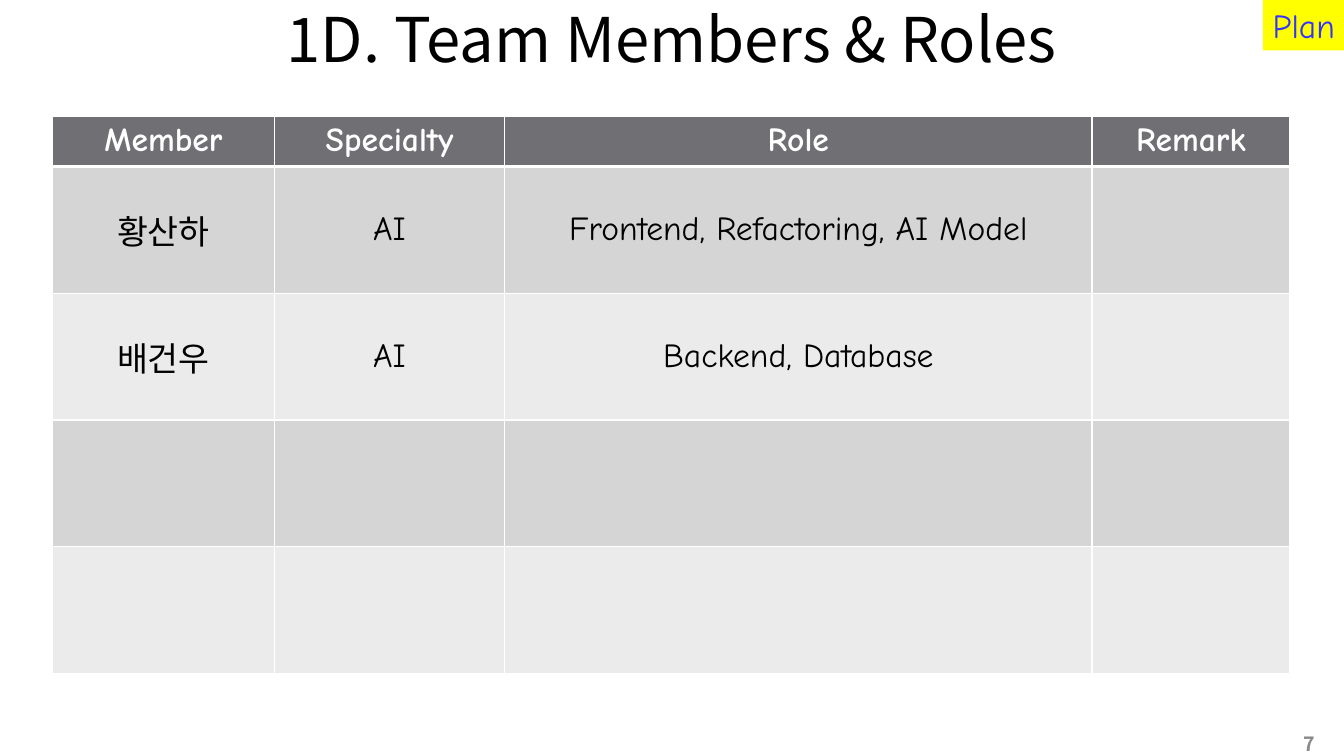
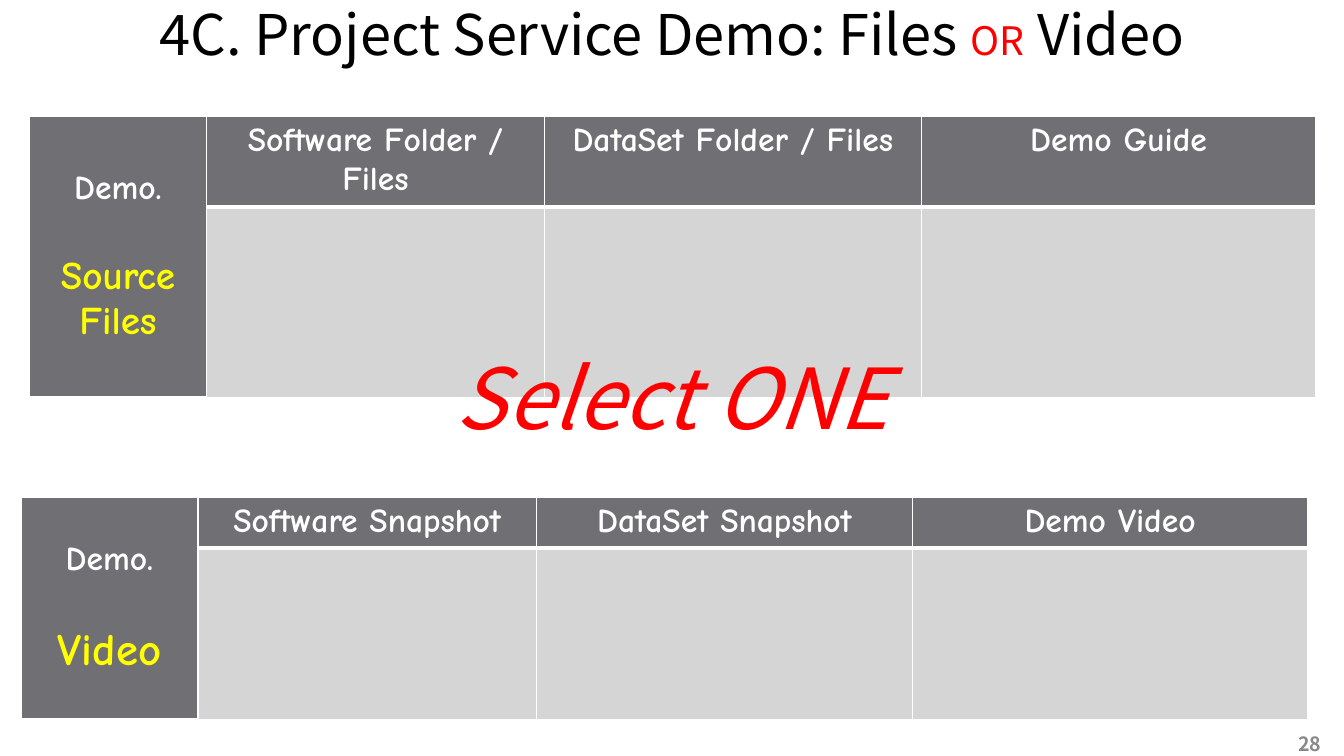
from lxml import etree
from pptx import Presentation
from pptx.dml.color import RGBColor as Rgb
from pptx.enum.shapes import MSO_SHAPE as Shape
from pptx.enum.text import MSO_ANCHOR as Anchor, MSO_AUTO_SIZE as Fit, PP_ALIGN as Align
from pptx.oxml.ns import qn
from pptx.util import Pt

WIDE, HIGH = 960, 540
SANS, HAND = "Noto Sans CJK KR", "Comic Neue"
INK = {
    "black": "000000", "white": "FFFFFF", "gray": "898989", "red": "FF0000",
    "yellow": "FFFF00", "blue": "3333FF",
    "head": "6F6F74", "dark": "D5D5D6", "light": "EBEBEB",
}
TITLE = {"name": SANS, "size": 44, "color": "black"}
PAGE = {"name": SANS, "size": 14, "color": "gray", "bold": True}
TAG = {"name": HAND, "size": 24, "color": "blue"}
SHOUT = {"name": SANS, "size": 60, "color": "red", "italic": True}
HEAD = {"name": HAND, "size": 24, "color": "white", "bold": True}
BODY = HEAD | {"color": "black", "bold": False}
DEMO = (126.5, 241.5, 269, 282)


def color(name):
    return Rgb.from_string(INK[name])


def style(font, form):
    for key, val in form.items():
        if key == "color":
            font.color.rgb = color(val)
        else:
            setattr(font, key, Pt(val) if key == "size" else val)


def write(frame, lines, form, align=Align.CENTER):
    """Fill a frame; each line is a list of (text, changes to form) runs."""
    for num, line in enumerate(lines):
        para = frame.add_paragraph() if num else frame.paragraphs[0]
        para.alignment = align
        for text, diff in line:
            run = para.add_run()
            run.text = text
            style(run.font, form | diff)


def place(shape, box):
    for key, val in zip(("left", "top", "width", "height"), box):
        setattr(shape, key, Pt(val))


def add_slide(deck, page, box, runs, form):
    slide = deck.slides.add_slide(deck.slide_layouts[5])
    title = slide.shapes.title
    place(title, box)
    frame = title.text_frame
    frame.auto_size = Fit.NONE
    frame.vertical_anchor = Anchor.MIDDLE
    write(frame, [runs], form)
    add_text(slide, (911, 520.5, 49, 21.5), page, PAGE, Anchor.MIDDLE)
    return slide


def add_text(slide, box, text, form, anchor=Anchor.TOP):
    frame = slide.shapes.add_textbox(*map(Pt, box)).text_frame
    frame.word_wrap = True
    frame.vertical_anchor = anchor
    write(frame, [[(text, {})]], form)


def add_tag(slide, text):
    tag = slide.shapes.add_shape(Shape.RECTANGLE, *map(Pt, (902, 0, 59, 36)))
    tag.shadow.inherit = False
    tag.fill.solid()
    tag.fill.fore_color.rgb = color("yellow")
    tag.line.fill.background()
    frame = tag.text_frame
    frame.word_wrap = False
    frame.auto_size = Fit.SHAPE_TO_FIT_TEXT
    write(frame, [[(text, {})]], TAG, Align.LEFT)


def paint(cell, fill, base=1):
    """Give a cell white borders, the bottom one base points wide, and a fill."""
    props = cell._tc.get_or_add_tcPr()
    for side, width in zip("LRTB", (1, 1, 1, base)):
        line = etree.SubElement(props, qn(f"a:ln{side}"), w=str(Pt(width)))
        solid = etree.SubElement(line, qn("a:solidFill"))
        etree.SubElement(solid, qn("a:srgbClr"), val=INK["white"])
    cell.fill.solid()
    cell.fill.fore_color.rgb = color(fill)


def add_grid(slide, left, top, cols, rows, fills):
    """Add a table whose first row is a header; fills holds one colour a row."""
    box = left, top, sum(cols), sum(rows)
    grid = slide.shapes.add_table(len(rows), len(cols), *map(Pt, box)).table
    grid.horz_banding = False
    for col, width in zip(grid.columns, cols):
        col.width = Pt(width)
    for row, high, fill in zip(grid.rows, rows, fills):
        row.height = Pt(high)
        for cell in row.cells:
            paint(cell, fill, 3 if fill == "head" else 1)
    return grid


def add_team(slide, heads, team):
    rows = [35] + [90.5] * 4
    fills = ["head"] + ["dark", "light"] * 2
    grid = add_grid(slide, 37.5, 83, (158.5, 164.5, 419.5, 141.5), rows, fills)
    for num, texts in enumerate([heads, *team]):
        for col, text in enumerate(texts):
            cell = grid.cell(num, col)
            if num:
                cell.vertical_anchor = Anchor.MIDDLE
            write(cell.text_frame, [[(text, {})]], BODY if num else HEAD)


def add_demo(slide, left, top, rows, kind, size, heads):
    """Add a demo table; its merged left cell names the kind, one line a word."""
    grid = add_grid(slide, left, top, DEMO, rows, ("head", "dark"))
    side = grid.cell(0, 0)
    side.merge(grid.cell(1, 0))
    side.vertical_anchor = Anchor.MIDDLE
    big = {"size": size, "color": "yellow"}
    lines = [[("Demo.", {})]] + [[(word, big)] for word in kind]
    write(side.text_frame, lines, HEAD)
    side.text_frame.paragraphs[1].space_before = Pt(33)
    for col, text in enumerate(heads, 1):
        write(grid.cell(0, col).text_frame, [[(text, {})]], HEAD)


def main():
    deck = Presentation()
    deck.slide_width, deck.slide_height = Pt(WIDE), Pt(HIGH)

    team = add_slide(deck, "7", (0, 0, WIDE, 54.5),
                     [("1D. Team Members & Roles", {})], TITLE)
    add_team(team, ("Member", "Specialty", "Role", "Remark"), [
        ("황산하", "AI", "Frontend, Refactoring, AI Model"),
        ("배건우", "AI", "Backend, Database"),
    ])
    add_tag(team, "Plan")

    demo = add_slide(deck, "28", (0, -2, WIDE, 51), [
        ("4C. Project Service Demo: Files ", {}),
        ("OR", {"size": 28, "color": "red"}),
        (" Video", {}),
    ], TITLE | {"size": 40})
    add_demo(demo, 21, 83, (62, 132), ("Source", "Files"), 28,
             ("Software Folder / Files", "DataSet Folder / Files", "Demo Guide"))
    add_demo(demo, 15, 355.5, (34.5, 122.5), ("Video",), 32,
             ("Software Snapshot", "DataSet Snapshot", "Demo Video"))
    add_text(demo, (48, 243, 864, 85), "Select ONE", SHOUT)

    deck.save("out.pptx")


if __name__ == "__main__":
    main()
